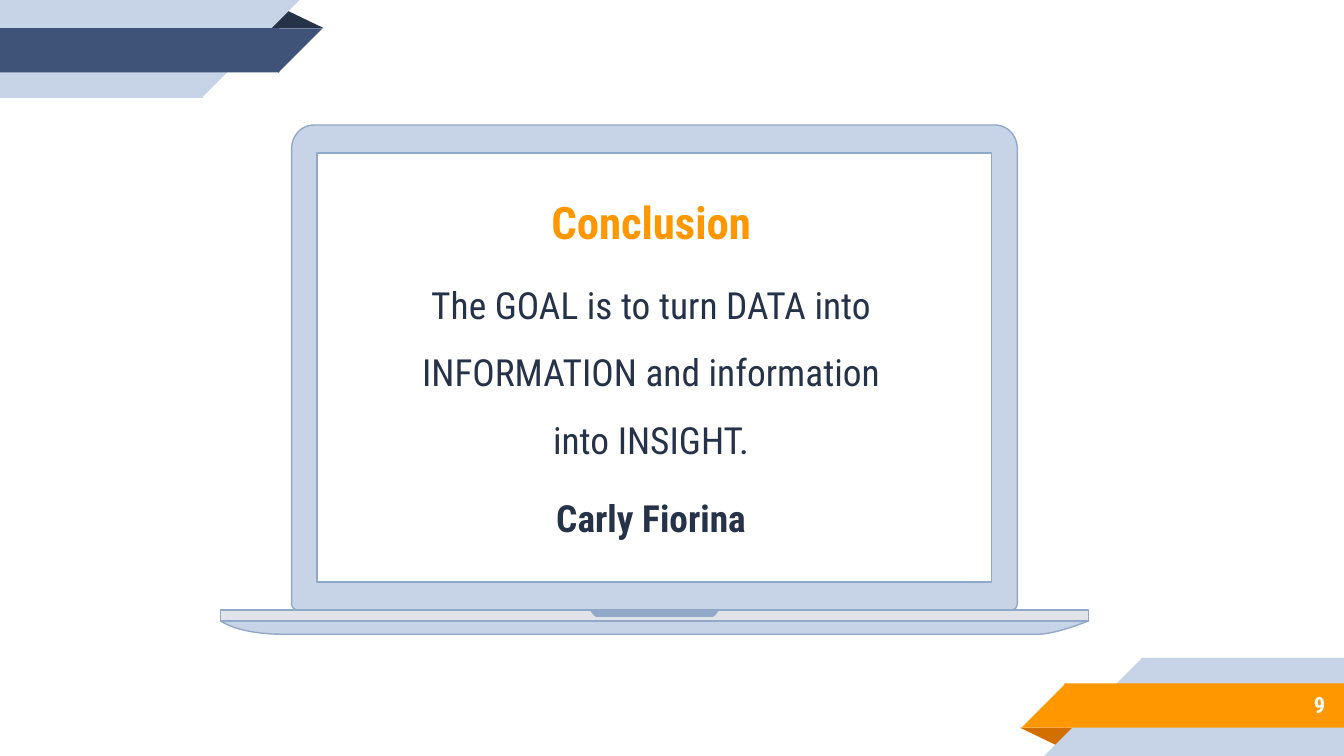
from pptx import Presentation, util as u
from pptx.dml.color import RGBColor
from pptx.enum import shapes, text
from pptx.oxml import parse_xml
from pptx.oxml.ns import nsdecls

WIDE = 10
HIGH = WIDE * 9 / 16
MID = 4.87  # centre line of the laptop
FONT = "Roboto Condensed"
HEX = {
    "navy": "263248", "blue": "3F5378", "pale": "C7D3E6", "edge": "92A8C8",
    "grey": "E0E4E9", "orange": "FF9800", "rust": "D26F00", "white": "FFFFFF",
}
KIND = shapes.MSO_SHAPE


def tint(name):
    return RGBColor.from_string(HEX[name])


def paint(shape, fill, line=None):
    shape.shadow.inherit = False
    shape.fill.solid()
    shape.fill.fore_color.rgb = tint(fill)
    if line:
        shape.line.color.rgb = tint(line)
        shape.line.width = u.Pt(0.75)
    else:
        shape.line.fill.background()


def ribbon(slide, band, fold, low=False):
    """Folded ribbon at top left, or turned half round to bottom right."""
    parts = [
        (KIND.ISOSCELES_TRIANGLE, 1.98, 0.07, 0.43, 0.14, fold),
        (KIND.RECTANGLE, 0, 0, 1.51, 0.73, "pale"),
        (KIND.RIGHT_TRIANGLE, 1.5, 0, 0.73, 0.73, "pale"),
        (KIND.RECTANGLE, 0, 0.21, 2.08, 0.33, band),
        (KIND.RIGHT_TRIANGLE, 2.07, 0.21, 0.33, 0.33, band),
    ]
    for kind, x, y, w, h, fill in parts:
        if low:
            x, y = WIDE - x - w, HIGH - y - h
        part = slide.shapes.add_shape(kind, *map(u.Inches, (x, y, w, h)))
        paint(part, fill)
        if kind == KIND.ISOSCELES_TRIANGLE:
            part.adjustments[0] = 0.324
            part.rotation = 180 if low else 0
        elif kind == KIND.RIGHT_TRIANGLE:
            part.rotation = 0 if low else 180
            part._element.spPr.xfrm.set("flipH", "1")


def curve(a, b, c, d, steps=12):
    """Points along a cubic curve."""
    points = []
    for i in range(steps + 1):
        t = i / steps
        s = 1 - t
        mix = (s ** 3, 3 * s * s * t, 3 * s * t * t, t ** 3)
        points.append(tuple(sum(m * p[k] for m, p in zip(mix, (a, b, c, d)))
                            for k in (0, 1)))
    return points


def mirror(half):
    return half + [(2 * MID - x, y) for x, y in reversed(half)]


def outline(slide, loops, fill, line=None):
    loops = [[(u.Inches(x), u.Inches(y)) for x, y in loop] for loop in loops]
    pen = slide.shapes.build_freeform(*loops[0][0])
    for i, loop in enumerate(loops):
        if i:
            pen.move_to(*loop[0])
        pen.add_line_segments(loop[1:], close=True)
    paint(pen.convert_to_shape(), fill, line)


def laptop(slide):
    # Lid with the screen cut out
    lid = mirror(curve((2.34, 0.93), (2.24, 0.93), (2.17, 1.01), (2.17, 1.11))
                 + curve((2.17, 4.49), (2.17, 4.52), (2.19, 4.54), (2.23, 4.54)))
    screen = mirror([(2.36, 4.33), (2.36, 1.14)])
    outline(slide, [lid, screen], "pale", "edge")
    # Underside, deck and notch
    base = (curve((1.64, 4.62), (1.64, 4.62), (1.77, 4.72), (2.11, 4.72))
            + curve((7.72, 4.72), (7.86, 4.72), (8.1, 4.62), (8.1, 4.62)))
    outline(slide, [base], "pale", "edge")
    outline(slide, [mirror([(1.64, 4.54), (1.64, 4.62)])], "grey", "edge")
    notch = curve((4.39, 4.54), (4.39, 4.54), (4.42, 4.59), (4.44, 4.59))
    outline(slide, [mirror(notch)], "edge")


def frame(box):
    body = box.text_frame
    body.word_wrap = True
    body.auto_size = text.MSO_AUTO_SIZE.NONE
    body.vertical_anchor = text.MSO_ANCHOR.MIDDLE
    body.margin_left = body.margin_right = u.Inches(0.1)
    body.margin_top = body.margin_bottom = u.Inches(0.1)
    return body


def style(para, size, color, bold, align):
    para.alignment = align
    for run in para.runs:
        run.font.name = FONT
        run.font.size = u.Pt(size)
        run.font.bold = bold
        run.font.color.rgb = tint(color)


def quote(slide):
    box = slide.placeholders[1]
    box.left, box.top, box.width, box.height = map(
        u.Inches, (2.87, 1.24, 3.95, 2.79))
    body = frame(box)
    lines = [
        ("Conclusion", 24, "orange", True),
        ("The GOAL is to turn DATA into INFORMATION and information "
         "into INSIGHT.", 20, "navy", False),
        ("Carly Fiorina", 20, "navy", True),
    ]
    body.text = "\n".join(line[0] for line in lines)
    for i, (para, line) in enumerate(zip(body.paragraphs, lines)):
        props = para._p.get_or_add_pPr()
        props.set("marL", "0")
        props.set("indent", "0")
        props.append(parse_xml(f"<a:buNone {nsdecls('a')}/>"))
        para.line_spacing = 1.5
        para.space_before = u.Pt(6 if i else 0)
        style(para, *line[1:], text.PP_ALIGN.CENTER)


def number(slide):
    box = slide.shapes.add_textbox(*map(u.Inches, (8.33, 5.07, 1.63, 0.35)))
    body = frame(box)
    body.text = "9"
    style(body.paragraphs[0], 12, "white", True, text.PP_ALIGN.RIGHT)


def main():
    deck = Presentation()
    deck.slide_width, deck.slide_height = u.Inches(WIDE), u.Inches(HIGH)
    slide = deck.slides.add_slide(deck.slide_layouts[1])
    # The heading is part of the body text, so the title goes
    title = slide.shapes.title._element
    title.getparent().remove(title)
    ribbon(slide, "blue", "navy")
    ribbon(slide, "orange", "rust", low=True)
    number(slide)
    quote(slide)
    laptop(slide)
    deck.save("out.pptx")


if __name__ == "__main__":
    main()
